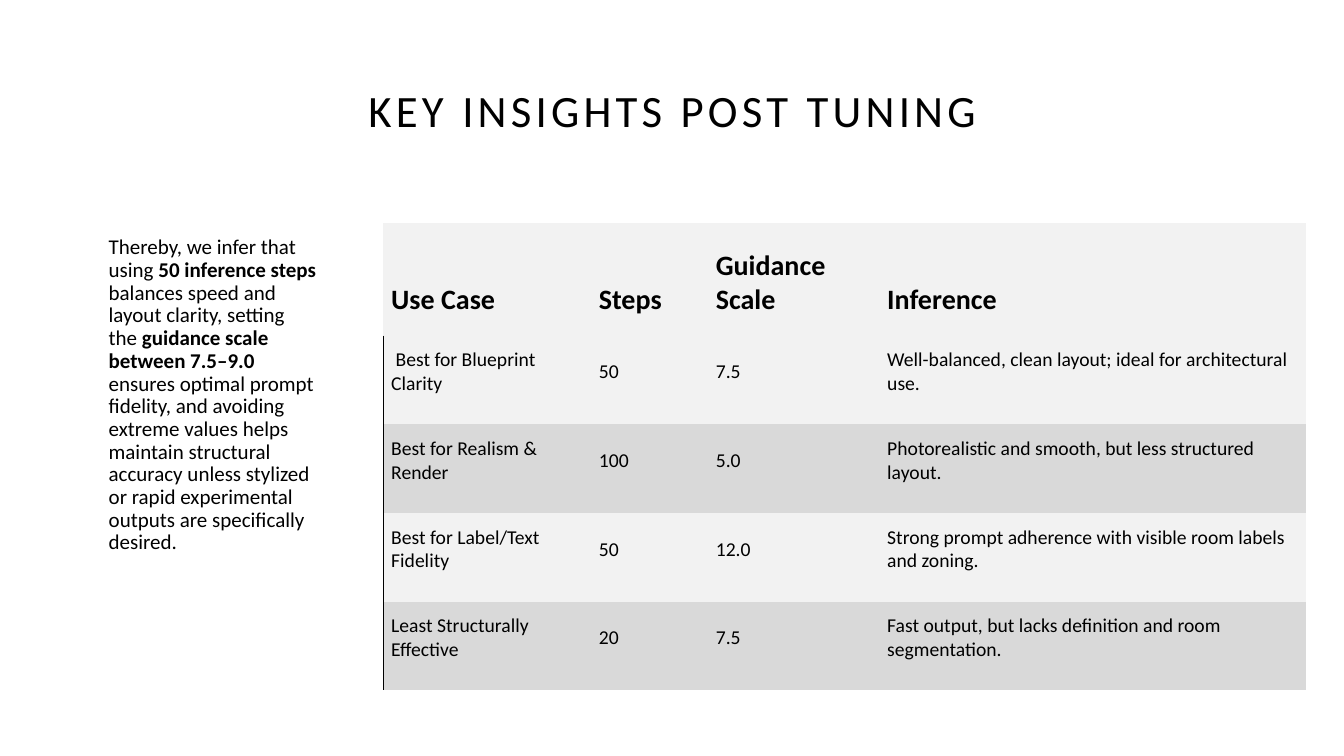
from dataclasses import dataclass

from lxml.etree import SubElement
from pptx import Presentation
from pptx.dml.color import RGBColor
from pptx.enum.text import MSO_ANCHOR, PP_ALIGN
from pptx.oxml import parse_xml
from pptx.oxml.ns import nsdecls, qn
from pptx.slide import Slide
from pptx.table import Table, _Cell
from pptx.text.text import Font, TextFrame
from pptx.util import Emu, Pt

EMU_PER_PX = 9144
BLACK = RGBColor(0x00, 0x00, 0x00)
LIGHT_GREY = RGBColor(0xF2, 0xF2, 0xF2)
MID_GREY = RGBColor(0xD9, 0xD9, 0xD9)
FONT_NAME = "Calibri"
PLAIN_TABLE_STYLE = "{2D5ABB26-0587-4C30-8999-92F81FD0307C}"


@dataclass(frozen=True)
class Span:
    text: str
    bold: bool = False


@dataclass(frozen=True)
class UseCase:
    name: str
    steps: str
    guidance: str
    inference: str


TITLE = "KEY INSIGHTS POST TUNING"
SUMMARY = [
    Span("Thereby, we infer that using "),
    Span("50 inference steps ", True),
    Span("balances speed and layout clarity, setting the "),
    Span("guidance scale between 7.5–9.0 ", True),
    Span(
        "ensures optimal prompt fidelity, and avoiding extreme values helps "
        "maintain structural accuracy unless stylized or rapid experimental "
        "outputs are specifically desired."
    ),
]
HEADER = UseCase("Use Case", "Steps", "Guidance Scale", "Inference")
USE_CASES = [
    UseCase(" Best for Blueprint Clarity", "50", "7.5",
            "Well-balanced, clean layout; ideal for architectural use."),
    UseCase("Best for Realism & Render", "100", "5.0",
            "Photorealistic and smooth, but less structured layout."),
    UseCase("Best for Label/Text Fidelity", "50", "12.0",
            "Strong prompt adherence with visible room labels and zoning."),
    UseCase("Least Structurally Effective", "20", "7.5",
            "Fast output, but lacks definition and room segmentation."),
]
COLUMN_WIDTHS = [206, 116, 170, 423]
HEADER_HEIGHT = 112
ROW_HEIGHT = 88


def px(length: int) -> Emu:
    return Emu(length * EMU_PER_PX)


def style_font(font: Font, size: int, bold: bool = False) -> None:
    font.name = FONT_NAME
    font.size = Pt(size)
    font.bold = bold
    font.color.rgb = BLACK


def add_text_frame(page: Slide, left: int, top: int, width: int, height: int) -> TextFrame:
    frame = page.shapes.add_textbox(px(left), px(top), px(width), px(height)).text_frame
    frame.word_wrap = True
    frame.paragraphs[0].line_spacing = 0.9
    return frame


def add_title(page: Slide) -> None:
    frame = add_text_frame(page, 92, 40, 1150, 145)
    frame.vertical_anchor = MSO_ANCHOR.MIDDLE
    para = frame.paragraphs[0]
    para.text = TITLE
    para.alignment = PP_ALIGN.CENTER
    font = para.runs[0].font
    style_font(font, 32)
    font._element.set("spc", "300")


def add_summary(page: Slide) -> None:
    para = add_text_frame(page, 98, 230, 226, 397).paragraphs[0]
    para.space_after = Pt(6)
    for span in SUMMARY:
        run = para.add_run()
        run.text = span.text
        style_font(run.font, 15, span.bold)


def add_left_border(cell: _Cell) -> None:
    border = parse_xml(f'<a:lnL {nsdecls("a")} w="{Pt(1)}"/>')
    fill = SubElement(border, qn("a:solidFill"))
    SubElement(fill, qn("a:srgbClr"), val=str(BLACK))
    cell._tc.get_or_add_tcPr().insert(0, border)


def fill_row(table: Table, row: int, use_case: UseCase) -> None:
    is_header = row == 0
    color = MID_GREY if row and row % 2 == 0 else LIGHT_GREY
    texts = [use_case.name, use_case.steps, use_case.guidance, use_case.inference]
    for column, text in enumerate(texts):
        cell = table.cell(row, column)
        cell.text_frame.text = text
        cell.vertical_anchor = MSO_ANCHOR.BOTTOM if is_header else MSO_ANCHOR.MIDDLE
        cell.margin_left, cell.margin_top = px(8), px(2)
        cell.margin_right, cell.margin_bottom = px(11), px(18)
        cell.fill.solid()
        cell.fill.fore_color.rgb = color
        run = cell.text_frame.paragraphs[0].runs[0]
        style_font(run.font, 20 if is_header else 14, is_header)
    if not is_header:
        add_left_border(table.cell(row, 0))


def add_use_case_table(page: Slide) -> None:
    rows = [HEADER, *USE_CASES]
    heights = [HEADER_HEIGHT] + [ROW_HEIGHT] * len(USE_CASES)
    table = page.shapes.add_table(
        len(rows), len(COLUMN_WIDTHS),
        px(380), px(221), px(sum(COLUMN_WIDTHS)), px(sum(heights)),
    ).table
    table.first_row = False
    table.horz_banding = False
    table._tbl.tblPr.find(qn("a:tableStyleId")).text = PLAIN_TABLE_STYLE
    for column, width in zip(table.columns, COLUMN_WIDTHS):
        column.width = px(width)
    for index, (use_case, height) in enumerate(zip(rows, heights)):
        table.rows[index].height = px(height)
        fill_row(table, index, use_case)


def main() -> None:
    deck = Presentation()
    deck.slide_width, deck.slide_height = px(1333), px(750)
    page = deck.slides.add_slide(deck.slide_layouts[6])
    add_title(page)
    add_summary(page)
    add_use_case_table(page)
    deck.save("out.pptx")


if __name__ == "__main__":
    main()
